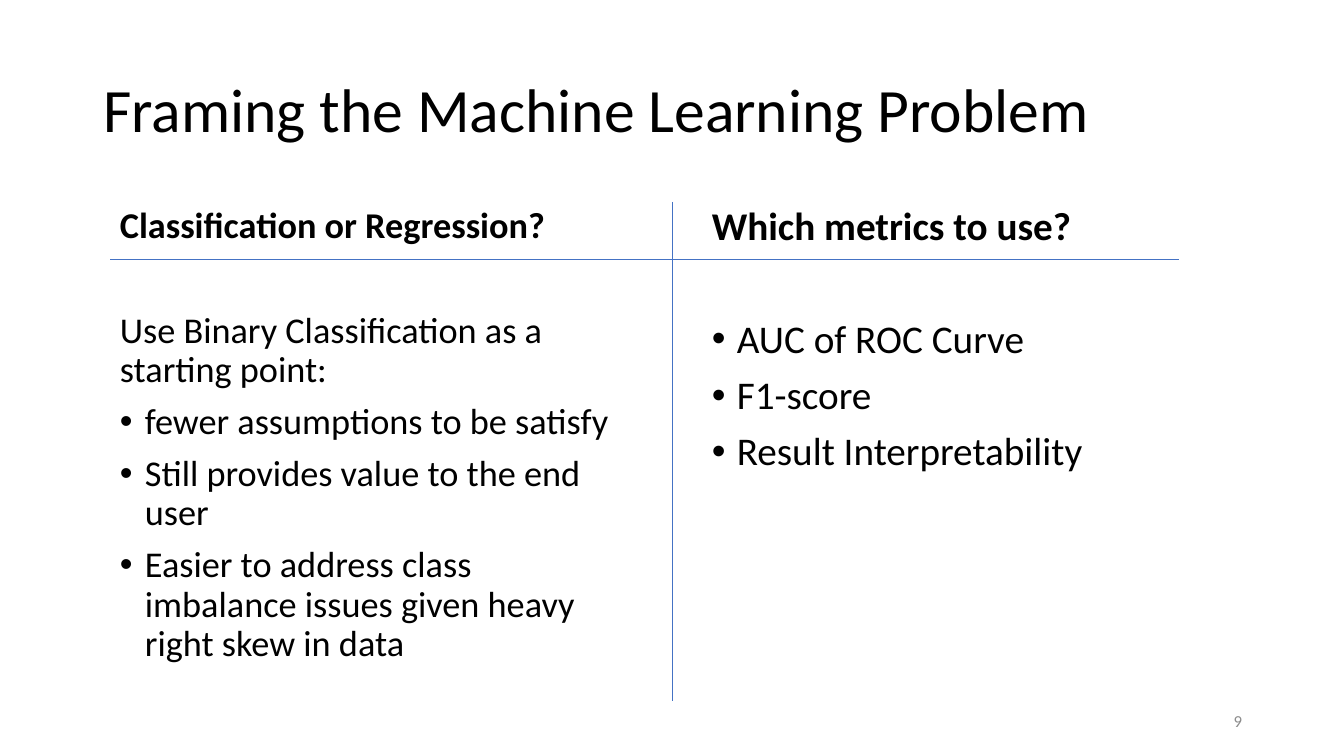
from lxml.etree import SubElement
from pptx import Presentation
from pptx.dml.color import RGBColor
from pptx.enum.shapes import MSO_CONNECTOR
from pptx.enum.text import MSO_ANCHOR, MSO_AUTO_SIZE, PP_ALIGN
from pptx.oxml.ns import qn
from pptx.util import Emu, Pt

TITLE = "Framing the Machine Learning Problem"
PAGE_NUMBER = "9"
COLUMNS = [
    {
        "box": (110, 202, 516, 480),
        "size": 25.9,
        "gap": 9.25,
        "heading_gap": 47,
        "heading": "Classification or Regression?",
        "lead": ["Use Binary Classification as a starting point:"],
        "points": [
            "fewer assumptions to be satisfy",
            "Still provides value to the end user",
            "Easier to address class imbalance issues given heavy right skew in data",
        ],
    },
    {
        "box": (702, 202, 449, 480),
        "size": 28,
        "gap": 10,
        "heading_gap": 50,
        "heading": "Which metrics to use?",
        "lead": [],
        "points": ["AUC of ROC Curve", "F1-score", "Result Interpretability"],
    },
]
TITLE_BOX = (93, 40, 1159, 146)
NUMBER_BOX = (950, 701, 302, 40)
DIVIDERS = [(672, 202, 672, 701), (1179, 259, 110, 259)]
COLORS = {"text": "000000", "number": "8C8C8C", "divider": "4472C4"}
FONT = "Calibri"
PX = 9071
INDENT = 25


def px(*lengths):
    return [Emu(length * PX) for length in lengths]


def write(paragraph, text, size, color="text", bold=False, before=0,
          spacing=0.9, align=PP_ALIGN.LEFT, bullet=False):
    if bullet:
        properties = paragraph._p.get_or_add_pPr()
        properties.set("marL", str(INDENT * PX))
        properties.set("indent", str(-INDENT * PX))
        SubElement(properties, qn("a:buFont"), typeface="Arial")
        SubElement(properties, qn("a:buChar"), char="•")
    paragraph.alignment = align
    paragraph.line_spacing = spacing
    paragraph.space_before = Pt(before)
    run = paragraph.add_run()
    run.text = text
    run.font.name = FONT
    run.font.size = Pt(size)
    run.font.bold = bold
    run.font.color.rgb = RGBColor.from_string(COLORS[color])


def prepare(frame, anchor):
    frame.word_wrap = True
    frame.auto_size = MSO_AUTO_SIZE.NONE
    frame.vertical_anchor = anchor
    return frame


def add_column(slide, column):
    box = slide.shapes.add_textbox(*px(*column["box"]))
    frame = prepare(box.text_frame, MSO_ANCHOR.TOP)
    write(frame.paragraphs[0], column["heading"], column["size"], bold=True)
    body = [(text, False) for text in column["lead"]]
    body += [(text, True) for text in column["points"]]
    for index, (text, bullet) in enumerate(body):
        before = column["gap"] if index else column["heading_gap"]
        write(frame.add_paragraph(), text, column["size"], before=before, bullet=bullet)


def add_divider(slide, ends):
    divider = slide.shapes.add_connector(MSO_CONNECTOR.STRAIGHT, *px(*ends))
    divider.line.color.rgb = RGBColor.from_string(COLORS["divider"])
    divider.line.width = Pt(0.5)
    SubElement(divider._element.spPr, qn("a:effectLst"))


def main():
    deck = Presentation()
    deck.slide_width, deck.slide_height = px(1344, 756)
    slide = deck.slides.add_slide(deck.slide_layouts[5])

    title = slide.shapes.title
    title.left, title.top, title.width, title.height = px(*TITLE_BOX)
    title_frame = prepare(title.text_frame, MSO_ANCHOR.MIDDLE)
    write(title_frame.paragraphs[0], TITLE, 44)

    for column in COLUMNS:
        add_column(slide, column)
    for ends in DIVIDERS:
        add_divider(slide, ends)

    number = slide.shapes.add_textbox(*px(*NUMBER_BOX))
    number_frame = prepare(number.text_frame, MSO_ANCHOR.MIDDLE)
    write(number_frame.paragraphs[0], PAGE_NUMBER, 12, color="number",
          spacing=1.0, align=PP_ALIGN.RIGHT)

    deck.save("out.pptx")


if __name__ == "__main__":
    main()
